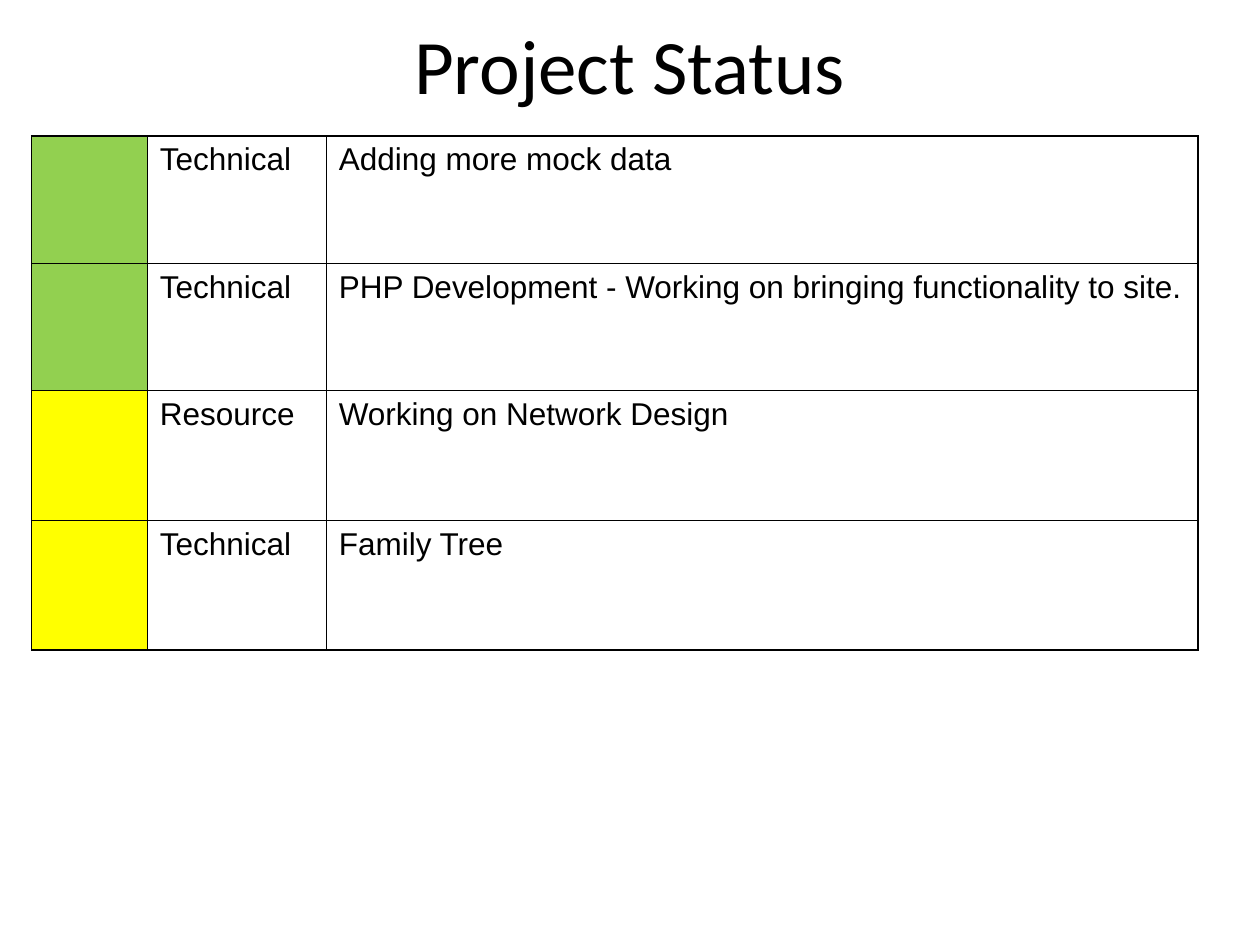
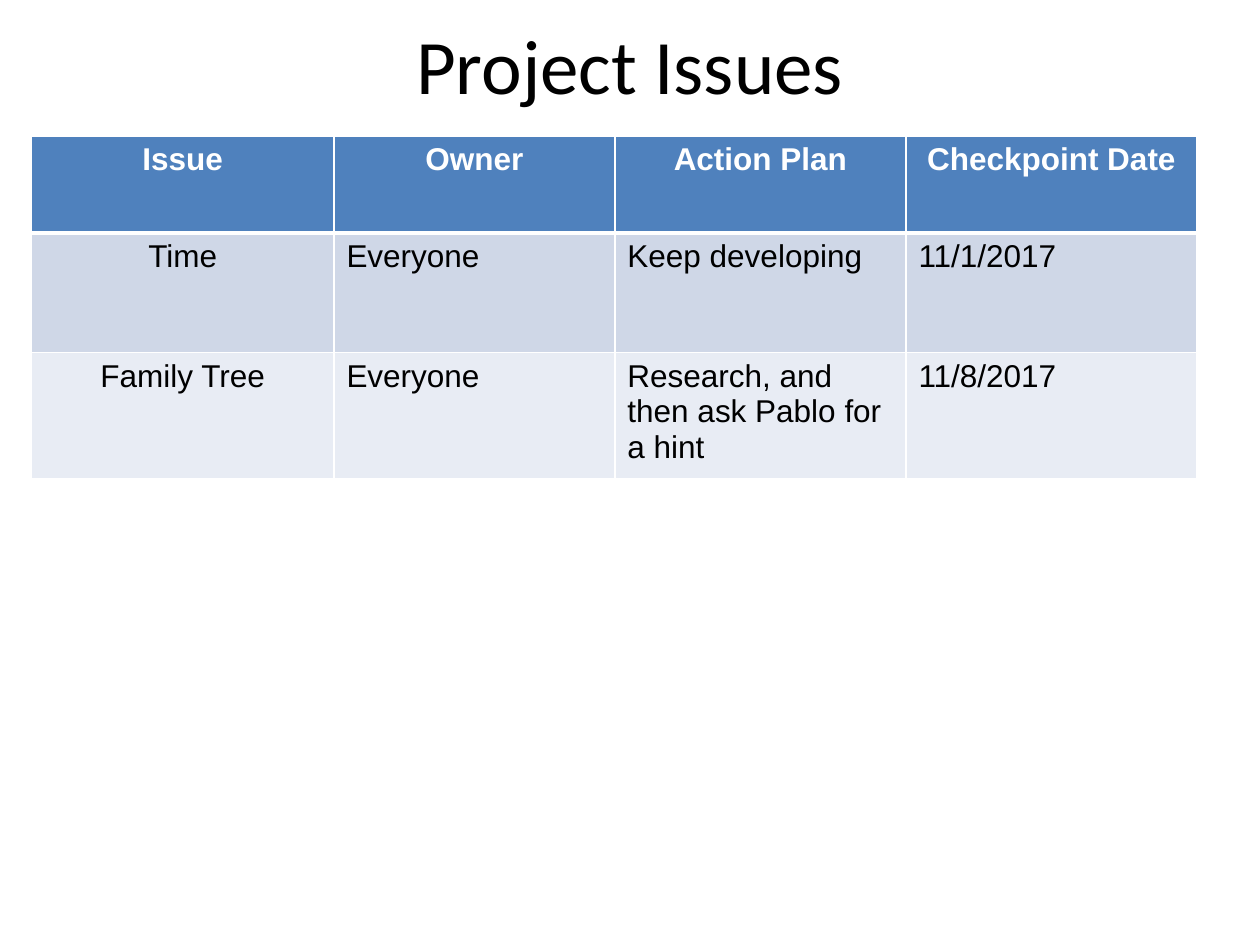
from dataclasses import dataclass

from lxml.etree import SubElement as Sub
from pptx import Presentation
from pptx.dml.color import RGBColor as Rgb
from pptx.enum.text import MSO_ANCHOR as Anchor, PP_ALIGN as Align
from pptx.oxml.ns import qn
from pptx.util import Inches, Pt

# Shared colours and fonts
BLACK, WHITE = "000000", "FFFFFF"
GREEN, YELLOW = "92D050", "FFFF00"
BLUE, BAND, PALE = "4F81BD", "CFD7E7", "E8ECF4"
HEAD_FONT, BODY_FONT = "Calibri", "Arial"
LEFT, TOP = 0.25, 1.08


@dataclass
class Cell:
    text: str
    fill: str = WHITE
    color: str = BLACK
    bold: bool = False
    center: bool = False


@dataclass
class Grid:
    title: str
    cols: list[float]
    rows: list[float]
    cells: list[list[Cell]]
    line: str
    header: bool = False


def rgb(code: str) -> Rgb:
    return Rgb.from_string(code)


def style(para, font: str, size: int, color: str, bold: bool = False) -> None:
    para.font.name = font
    para.font.size = Pt(size)
    para.font.bold = bold
    para.font.color.rgb = rgb(color)


def add_title(slide, text: str) -> None:
    box = slide.shapes.add_textbox(Inches(0.5), Inches(0.08), Inches(9), Inches(0.86))
    frame = box.text_frame
    frame.word_wrap = True
    frame.vertical_anchor = Anchor.MIDDLE
    para = frame.paragraphs[0]
    para.text = text
    para.alignment = Align.CENTER
    style(para, HEAD_FONT, 44, BLACK)


def add_edge(cell, side: str, color: str, width: float) -> None:
    props = cell._tc.get_or_add_tcPr()
    edge = Sub(props, qn(f"a:ln{side}"), w=str(Pt(width)))
    fill = Sub(edge, qn("a:solidFill"))
    Sub(fill, qn("a:srgbClr"), val=color)


def fill_cell(cell, item: Cell) -> None:
    cell.fill.solid()
    cell.fill.fore_color.rgb = rgb(item.fill)
    para = cell.text_frame.paragraphs[0]
    para.text = item.text
    para.alignment = Align.CENTER if item.center else Align.LEFT
    style(para, BODY_FONT, 18, item.color, item.bold)


def add_grid(slide, grid: Grid) -> None:
    frame = slide.shapes.add_table(
        len(grid.rows), len(grid.cols), Inches(LEFT), Inches(TOP),
        Inches(sum(grid.cols)), Inches(sum(grid.rows)))
    table = frame.table
    table.first_row = grid.header
    table.horz_banding = False
    for col, width in zip(table.columns, grid.cols):
        col.width = Inches(width)
    for row, height in zip(table.rows, grid.rows):
        row.height = Inches(height)
    for i, items in enumerate(grid.cells):
        for j, item in enumerate(items):
            cell = table.cell(i, j)
            for side in "LRTB":
                # The rule below a header row is thicker
                thick = grid.header and (i, side) in ((0, "B"), (1, "T"))
                add_edge(cell, side, grid.line, 3 if thick else 1)
            fill_cell(cell, item)


def status(fill: str, area: str, note: str) -> list[Cell]:
    return [Cell("", fill), Cell(area), Cell(note)]


def issue(fill: str, name: str, *facts: str) -> list[Cell]:
    return [Cell(name, fill, center=True)] + [Cell(fact, fill) for fact in facts]


def header(*names: str) -> list[Cell]:
    return [Cell(name, BLUE, WHITE, True, True) for name in names]


# Slide content
GRIDS = [
    Grid("Project Status", [0.92, 1.42, 6.92], [1.01, 1.01, 1.03, 1.03], [
        status(GREEN, "Technical", "Adding more mock data"),
        status(GREEN, "Technical",
               "PHP Development - Working on bringing functionality to site."),
        status(YELLOW, "Resource", "Working on Network Design"),
        status(YELLOW, "Technical", "Family Tree"),
    ], BLACK),
    Grid("Project Issues", [2.4, 2.23, 2.31, 2.31], [0.77, 0.95, 0.95], [
        header("Issue", "Owner", "Action Plan", "Checkpoint Date"),
        issue(BAND, "Time", "Everyone", "Keep developing", "11/1/2017"),
        issue(PALE, "Family Tree", "Everyone",
              "Research, and then ask Pablo for a hint", "11/8/2017"),
    ], WHITE, header=True),
]


def main() -> None:
    deck = Presentation()
    deck.slide_width, deck.slide_height = Inches(10), Inches(7.5)
    for grid in GRIDS:
        slide = deck.slides.add_slide(deck.slide_layouts[6])
        add_title(slide, grid.title)
        add_grid(slide, grid)
    deck.save("out.pptx")


if __name__ == "__main__":
    main()
